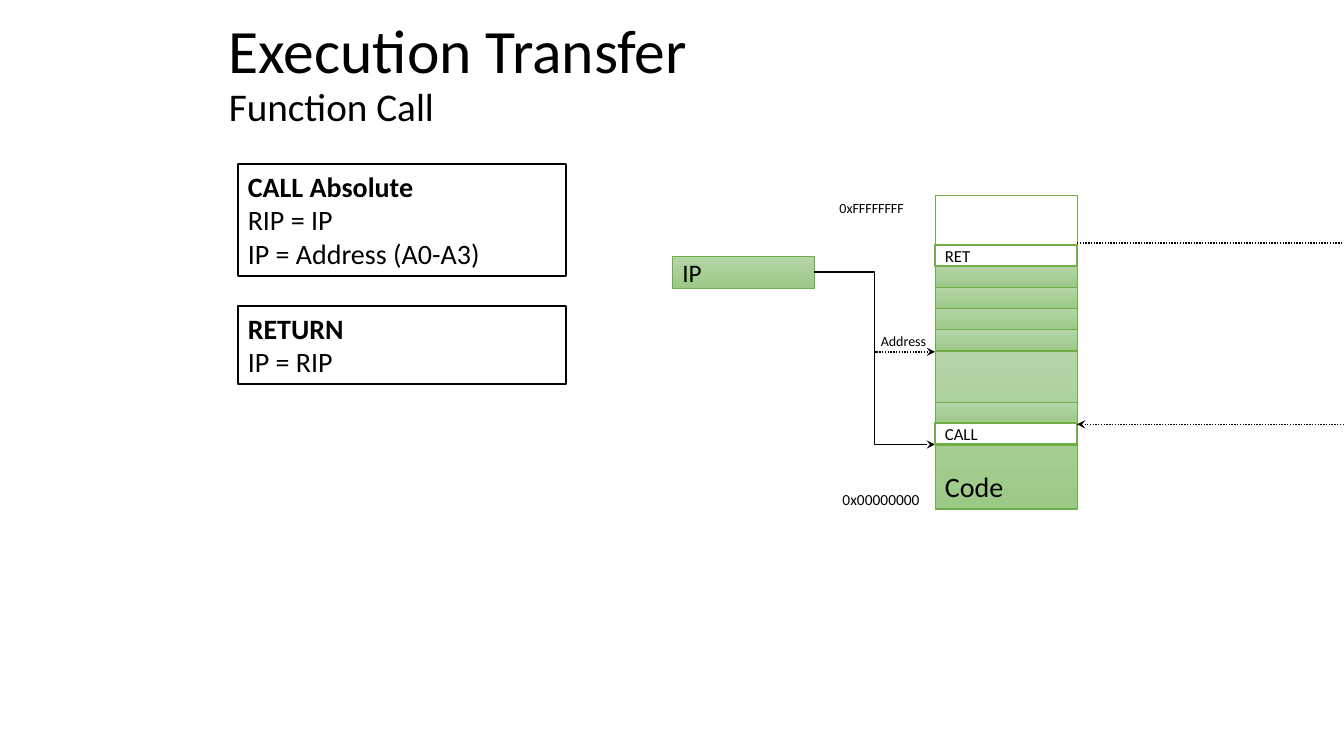
import lxml.etree
import pptx
import pptx.dml.color
import pptx.enum.dml
import pptx.enum.shapes
import pptx.enum.text
import pptx.oxml.ns
import pptx.util

COLORS = {
    "text": "000000",
    "paper": "FFFFFF",
    "border": "70AD47",
    "green_top": "B5D5A7",
    "green_bottom": "9CC987",
}
SHAPES = pptx.enum.shapes.MSO_SHAPE
CONNECTORS = pptx.enum.shapes.MSO_CONNECTOR
ANCHORS = pptx.enum.text.MSO_ANCHOR


def color(name):
    return pptx.dml.color.RGBColor.from_string(COLORS[name])


class SlideBuilder:
    font_name = "Calibri"
    cell = 0.1
    columns = 133.33
    rows = 75

    def __init__(self):
        self.presentation = pptx.Presentation()
        self.presentation.slide_width = self.length(self.columns)
        self.presentation.slide_height = self.length(self.rows)
        layout = self.presentation.slide_layouts[5]
        self.slide = self.presentation.slides.add_slide(layout)

    def length(self, cells):
        return pptx.util.Inches(cells * self.cell)

    def lengths(self, area):
        return [self.length(cells) for cells in area]

    def apply(self, target, values):
        for name, value in values.items():
            setattr(target, name, value)

    def format_font(self, font, size, bold=False):
        self.apply(font, {"name": self.font_name, "size": pptx.util.Pt(size), "bold": bold})
        font.color.rgb = color("text")

    def fill_text(self, shape, lines, size, anchor=ANCHORS.TOP, bold_first=False):
        frame = shape.text_frame
        self.apply(frame, {"text": "\n".join(lines), "word_wrap": True, "vertical_anchor": anchor})
        for index, paragraph in enumerate(frame.paragraphs):
            paragraph.alignment = pptx.enum.text.PP_ALIGN.LEFT
            self.format_font(paragraph.runs[0].font, size, bold_first and index == 0)

    def title(self, area, heading, subheading):
        shape = self.slide.shapes.title
        self.apply(shape, dict(zip(("left", "top", "width", "height"), self.lengths(area))))
        frame = shape.text_frame
        self.apply(frame, {
            "auto_size": pptx.enum.text.MSO_AUTO_SIZE.NONE,
            "vertical_anchor": ANCHORS.MIDDLE,
            "word_wrap": True,
        })
        paragraph = frame.paragraphs[0]
        self.apply(paragraph, {"alignment": pptx.enum.text.PP_ALIGN.LEFT, "line_spacing": 0.9})
        for text, size in ((heading, 44), (subheading, 28)):
            if paragraph.runs:
                paragraph.add_line_break()
            run = paragraph.add_run()
            run.text = text
            self.format_font(run.font, size)

    def label(self, area, text, size):
        self.fill_text(self.slide.shapes.add_textbox(*self.lengths(area)), [text], size)

    def outline(self, kind, area, line_color, line_width):
        shape = self.slide.shapes.add_shape(kind, *self.lengths(area))
        shape.shadow.inherit = False
        shape.fill.background()
        shape.line.color.rgb = color(line_color)
        shape.line.width = pptx.util.Pt(line_width)
        return shape

    def instruction(self, area, lines):
        shape = self.outline(SHAPES.RECTANGLE, area, "text", 1.5)
        self.fill_text(shape, lines, 20, bold_first=True)

    def block(self, area, fill="green", line_width=0.5, text=None, size=12, anchor=ANCHORS.MIDDLE):
        shape = self.outline(SHAPES.ROUNDED_RECTANGLE, area, "border", line_width)
        shape.adjustments[0] = 0
        if fill == "green":
            shape.fill.gradient()
            shape.fill.gradient_angle = 270
            for stop, name in zip(shape.fill.gradient_stops, ("green_top", "green_bottom")):
                stop.color.rgb = color(name)
        elif fill:
            shape.fill.solid()
            shape.fill.fore_color.rgb = color(fill)
        if text:
            self.fill_text(shape, [text], size, anchor)

    def connector(self, kind, points, dotted=False, arrow=True):
        connector = self.slide.shapes.add_connector(kind, *self.lengths(points))
        connector.line.color.rgb = color("text")
        connector.line.width = pptx.util.Pt(1)
        if dotted:
            connector.line.dash_style = pptx.enum.dml.MSO_LINE.ROUND_DOT
        properties = connector._element.spPr
        qualified = pptx.oxml.ns.qn
        if arrow:
            line = properties.find(qualified("a:ln"))
            lxml.etree.SubElement(line, qualified("a:tailEnd"), type="stealth")
        lxml.etree.SubElement(properties, qualified("a:effectLst"))


def main():
    builder = SlideBuilder()
    stack_left, stack_width, strip_height = 92.75, 14.1, 2.1
    stack_right = stack_left + stack_width

    def strip(top, height=strip_height):
        return stack_left, top, stack_width, height

    builder.title((21.7, 0.7, 95, 13.5), "Execution Transfer", "Function Call")
    builder.label((82.6, 48.1, 10.4, 2.9), "0x00000000", 11)
    builder.label((86.4, 32.5, 7.2, 2.7), "Address", 10)
    builder.label((82.3, 19.3, 10.4, 2.7), "0xFFFFFFFF", 10)

    builder.block((66.7, 25.4, stack_width, 3.2), text="IP", size=18)
    builder.block(strip(19.4, 31.1), fill=None)
    for index in range(4):
        builder.block(strip(26.4 + index * strip_height))
    for target, dotted in ((34.9, True), (44.1, False)):
        builder.connector(CONNECTORS.ELBOW, (80.8, 27, stack_left, target), dotted)
    builder.block(strip(34.9, 15.5), text="Code", size=20, anchor=ANCHORS.BOTTOM)
    builder.block(strip(24.3), fill=None, line_width=1.5, text="RET")
    builder.block(strip(39.9))
    builder.block(strip(42), fill="paper", line_width=1.5, text="CALL")

    builder.instruction((23.6, 16.3, 32.6, 11.1), ["CALL Absolute", "RIP = IP", "IP = Address (A0-A3)"])
    builder.instruction((23.6, 30.4, 32.6, 7.7), ["RETURN", "IP = RIP"])

    straight = CONNECTORS.STRAIGHT
    edge = builder.columns
    builder.connector(straight, (stack_right, 24.1, edge, 24.1), dotted=True, arrow=False)
    builder.connector(straight, (edge, 42.1, stack_right, 42.1), dotted=True)
    builder.presentation.save("out.pptx")


if __name__ == "__main__":
    main()
